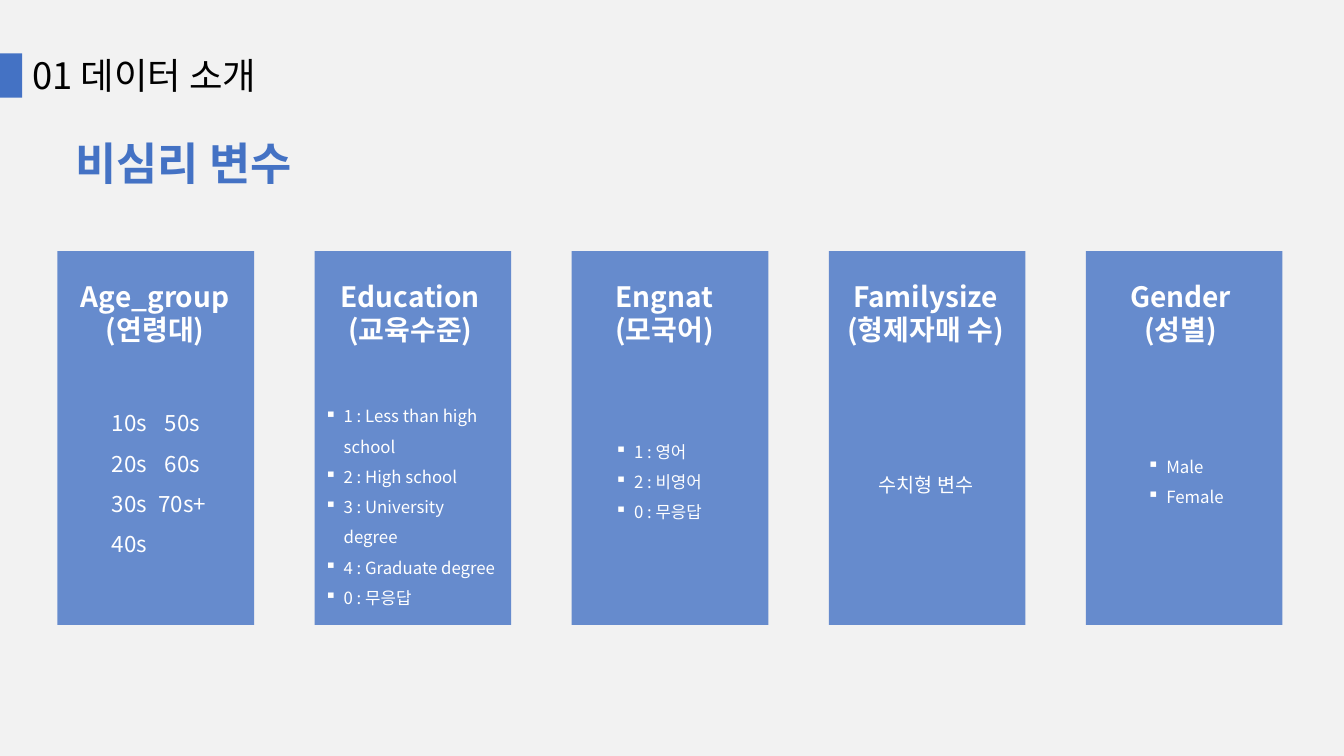
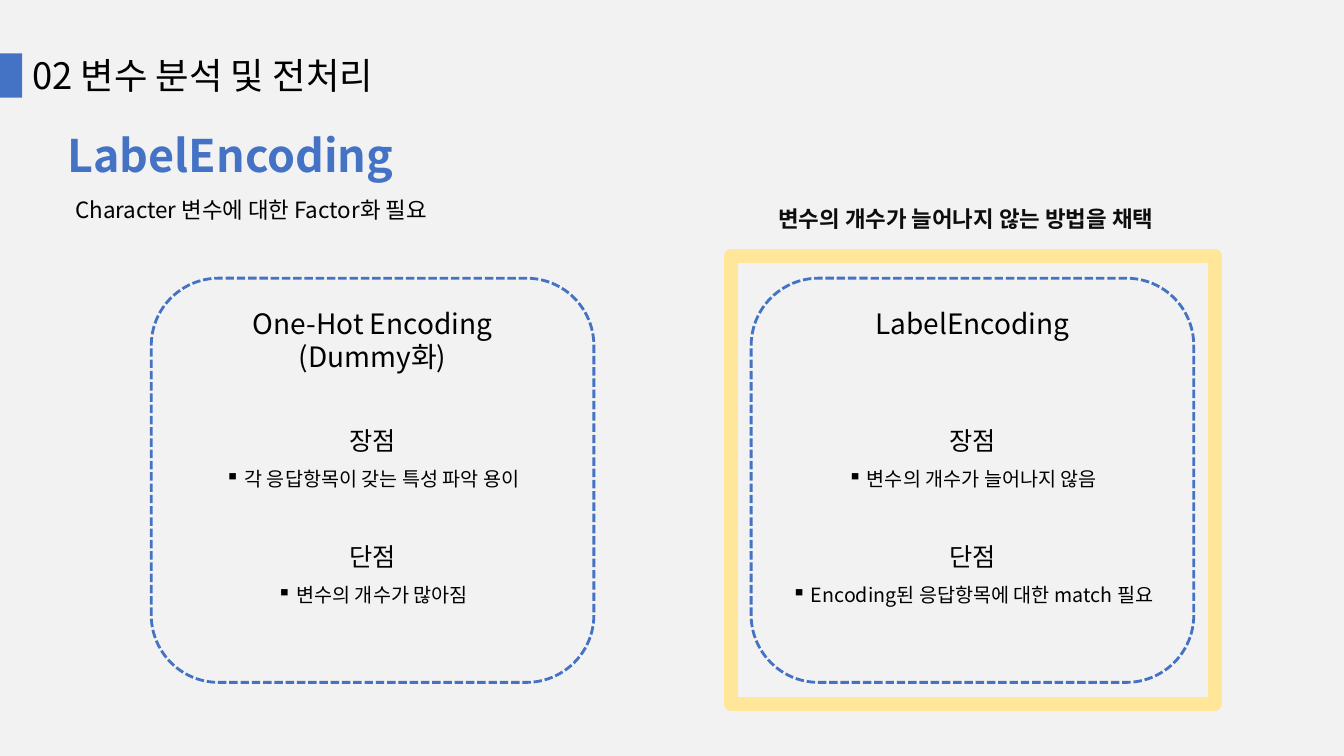
from dataclasses import dataclass

from lxml import etree
from pptx import Presentation
from pptx.dml.color import RGBColor
from pptx.enum.dml import MSO_LINE
from pptx.enum.shapes import MSO_SHAPE
from pptx.enum.text import PP_ALIGN
from pptx.oxml.ns import qn
from pptx.util import Inches, Pt

# Shared look
FONT = "Noto Sans CJK KR"
BLUE = RGBColor(0x44, 0x72, 0xC4)
YELLOW = RGBColor(0xFF, 0xE6, 0x99)
GRAY = RGBColor(0xF2, 0xF2, 0xF2)
WHITE = RGBColor(0xFF, 0xFF, 0xFF)
BLACK = RGBColor(0x00, 0x00, 0x00)
NEAR_BLACK = RGBColor(0x0D, 0x0D, 0x0D)
LEFT, CENTER = PP_ALIGN.LEFT, PP_ALIGN.CENTER
RECTANGLE, ROUNDED = MSO_SHAPE.RECTANGLE, MSO_SHAPE.ROUNDED_RECTANGLE
DASH = MSO_LINE.SQUARE_DOT
BULLET_INDENT = Inches(0.19)

# Card grid and panel size
CARD_LEFT, CARD_TOP, CARD_PITCH = 0.57, 2.49, 2.55
CARD_WIDTH, CARD_HEIGHT = 1.95, 3.71
HEADING_WIDTH = 2.0
PANEL_TOP, PANEL_WIDTH, PANEL_HEIGHT = 2.76, 4.39, 4.01


@dataclass(frozen=True)
class Box:
    left: float
    top: float
    width: float
    height: float

    def lengths(self) -> list:
        return [Inches(v) for v in (self.left, self.top, self.width, self.height)]


@dataclass(frozen=True)
class Line:
    text: str
    size: float
    color: RGBColor = BLACK
    bold: bool = False
    align: PP_ALIGN = LEFT
    spacing: float = 1.0
    before: float = 0
    bullet: bool = False


@dataclass(frozen=True)
class Card:
    heading: tuple
    heading_center: float
    items: tuple
    body: Box
    size: float = 12
    bullet: bool = True
    columns: int = 1


@dataclass(frozen=True)
class Panel:
    left: float
    heading: tuple
    pro: str
    con: str


CARDS = (
    Card(("Age_group", "(연령대)"), 1.54,
         ("10s", "20s", "30s", "40s", "50s", "60s", "70s+"),
         Box(0.92, 3.88, 1.25, 1.75), size=16, bullet=False, columns=2),
    Card(("Education", "(교육수준)"), 4.07,
         ("1 : Less than high school", "2 : High school", "3 : University degree",
          "4 : Graduate degree", "0 : 무응답"),
         Box(3.12, 3.88, 1.95, 2.2)),
    Card(("Engnat", "(모국어)"), 6.59, ("1 : 영어", "2 : 비영어", "0 : 무응답"),
         Box(6.0, 4.23, 1.59, 0.98)),
    Card(("Familysize", "(형제자매 수)"), 9.18, ("수치형 변수",),
         Box(8.21, 4.53, 1.95, 0.42), size=14, bullet=False),
    Card(("Gender", "(성별)"), 11.71, ("Male", "Female"),
         Box(11.28, 4.38, 1.44, 0.68)),
)

PANELS = (
    Panel(1.5, ("One-Hot Encoding", "(Dummy화)"),
          "각 응답항목이 갖는 특성 파악 용이", "변수의 개수가 많아짐"),
    Panel(7.45, ("LabelEncoding",),
          "변수의 개수가 늘어나지 않음", "Encoding된 응답항목에 대한 match 필요"),
)


def add_block(page, box: Box, fill: RGBColor, opacity: int = 100) -> None:
    block = page.shapes.add_shape(RECTANGLE, *box.lengths())
    block.shadow.inherit = False
    block.fill.solid()
    block.fill.fore_color.rgb = fill
    block.line.fill.background()
    if opacity < 100:
        color = block.fill._xPr.find(f".//{qn('a:srgbClr')}")
        etree.SubElement(color, qn("a:alpha"), val=str(opacity * 1000))


def add_frame(page, kind: MSO_SHAPE, box: Box, color: RGBColor, weight: float,
              dash: MSO_LINE | None = None) -> None:
    frame = page.shapes.add_shape(kind, *box.lengths())
    frame.shadow.inherit = False
    frame.fill.background()
    frame.line.color.rgb = color
    frame.line.width = Pt(weight)
    if dash is not None:
        frame.line.dash_style = dash


def add_text(page, box: Box, lines: list[Line], columns: int = 1) -> None:
    frame = page.shapes.add_textbox(*box.lengths()).text_frame
    frame.word_wrap = True
    if columns > 1:
        frame._txBody.bodyPr.set("numCol", str(columns))
    for index, line in enumerate(lines):
        para = frame.paragraphs[0] if index == 0 else frame.add_paragraph()
        para.alignment = line.align
        para.line_spacing = line.spacing
        if line.before:
            para.space_before = Pt(line.before)
        if line.bullet:
            properties = para._p.get_or_add_pPr()
            properties.set("marL", str(BULLET_INDENT))
            properties.set("indent", str(-BULLET_INDENT))
            etree.SubElement(properties, qn("a:buChar"), char="▪")
        span = para.add_run()
        span.text = line.text
        span.font.size = Pt(line.size)
        span.font.bold = line.bold
        span.font.color.rgb = line.color
        span.font.name = FONT
        etree.SubElement(span._r.get_or_add_rPr(), qn("a:ea"), typeface=FONT)


def add_page(deck, section: str, title: str, title_box: Box):
    page = deck.slides.add_slide(deck.slide_layouts[6])
    page.background.fill.solid()
    page.background.fill.fore_color.rgb = GRAY
    add_block(page, Box(0, 0.53, 0.22, 0.44), BLUE)
    add_text(page, Box(0.22, 0.48, 6.67, 0.54), [Line(section, 26)])
    add_text(page, title_box, [Line(title, 32, BLUE, bold=True)])
    return page


def add_card(page, index: int, card: Card) -> None:
    left = CARD_LEFT + index * CARD_PITCH
    add_block(page, Box(left, CARD_TOP, CARD_WIDTH, CARD_HEIGHT), BLUE, opacity=80)
    heading_left = card.heading_center - HEADING_WIDTH / 2
    add_text(page, Box(heading_left, 2.72, HEADING_WIDTH, 0.77),
             [Line(text, 20, WHITE, bold=True, align=CENTER) for text in card.heading])
    align = LEFT if card.bullet else CENTER
    add_text(page, card.body,
             [Line(text, card.size, WHITE, align=align, spacing=1.5, bullet=card.bullet)
              for text in card.items], card.columns)


def add_panel(page, panel: Panel) -> None:
    add_frame(page, ROUNDED, Box(panel.left, PANEL_TOP, PANEL_WIDTH, PANEL_HEIGHT),
              BLUE, 2, DASH)
    add_text(page, Box(panel.left, 2.99, PANEL_WIDTH, 0.77),
             [Line(text, 20, align=CENTER) for text in panel.heading])
    add_text(page, Box(panel.left, 4.02, PANEL_WIDTH, 2.05), [
        Line("장점", 18, align=CENTER, spacing=1.5),
        Line(panel.pro, 14, align=CENTER, spacing=1.5, bullet=True),
        Line("단점", 18, align=CENTER, spacing=1.5, before=25),
        Line(panel.con, 14, align=CENTER, spacing=1.5, bullet=True),
    ])


def main() -> None:
    deck = Presentation()
    deck.slide_width, deck.slide_height = Inches(13.33), Inches(7.5)

    # Slide 1: variable cards
    page = add_page(deck, "01 데이터 소개", "비심리 변수", Box(0.65, 1.3, 7.48, 0.64))
    for index, card in enumerate(CARDS):
        add_card(page, index, card)

    # Slide 2: encoding comparison
    page = add_page(deck, "02 변수 분석 및 전처리", "LabelEncoding",
                    Box(0.57, 1.22, 5.1, 0.64))
    add_text(page, Box(0.57, 1.9, 3.84, 0.64),
             [Line("Character 변수에 대한 Factor화 필요", 16, align=CENTER)])
    for panel in PANELS:
        add_panel(page, panel)

    # Highlight of the chosen method
    add_frame(page, RECTANGLE, Box(7.25, 2.54, 4.8, 4.44), YELLOW, 10)
    add_text(page, Box(7.61, 1.99, 3.94, 0.64),
             [Line("변수의 개수가 늘어나지 않는 방법을 채택", 16, NEAR_BLACK,
                   bold=True, align=CENTER)])

    deck.save("out.pptx")


if __name__ == "__main__":
    main()
